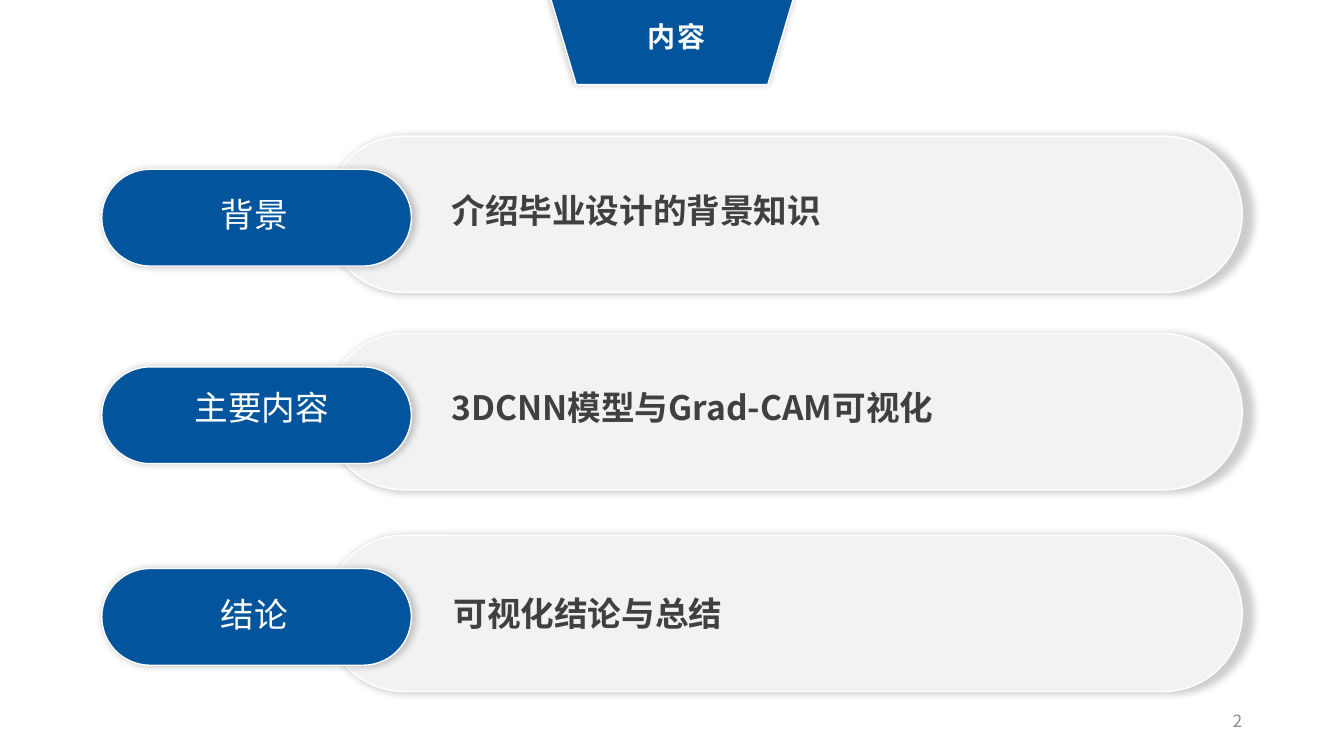
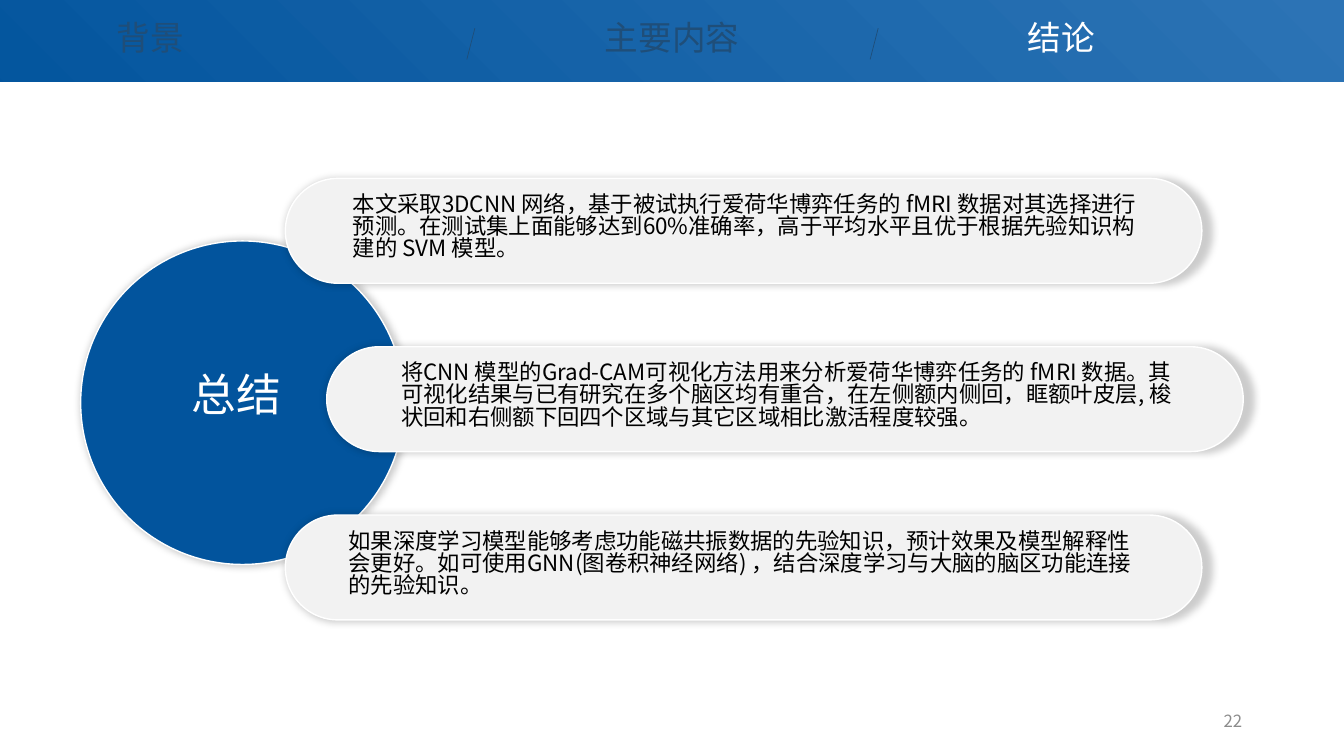
from lxml.etree import SubElement
from pptx import Presentation
from pptx.dml.color import RGBColor
from pptx.enum.shapes import MSO_CONNECTOR, MSO_SHAPE
from pptx.enum.text import MSO_ANCHOR, MSO_AUTO_SIZE, PP_ALIGN
from pptx.oxml import parse_xml
from pptx.oxml.ns import nsdecls, qn
from pptx.util import Inches, Pt

FONT = "Noto Sans CJK SC"
BLUE, LIGHT_BLUE, NAVY = "02549D", "2E75B6", "1F4E79"
WHITE, PALE, DARK, GREY, BLACK = "FFFFFF", "F2F2F2", "404040", "8C8C8C", "000000"
TAB = {"size": 24, "color": WHITE}
SHADOW = (
    f'<a:effectLst {nsdecls("a")}><a:outerShdw blurRad="63500" sx="101000" sy="101000" '
    'algn="l" rotWithShape="0"><a:srgbClr val="000000"><a:alpha val="20000"/></a:srgbClr>'
    "</a:outerShdw></a:effectLst>"
)

AGENDA = [
    (1.35, "背景", 2.09, 0.56, "介绍毕业设计的背景知识", 4.38, 0.52),
    (3.31, "主要内容", 1.83, 0.52, "3DCNN模型与Grad-CAM可视化", 4.38, 0.52),
    (5.31, "结论", 2.09, 0.57, "可视化结论与总结", 4.4, 0.56),
]
SUMMARY = [
    (2.83, 3.4, "本文采取3DCNN 网络，基于被试执行爱荷华博弈任务的 fMRI 数据对其选择进行预测。"
     "在测试集上面能够达到60%准确率，高于平均水平且优于根据先验知识构建的 SVM 模型。"),
    (3.24, 3.88, "将CNN 模型的Grad-CAM可视化方法用来分析爱荷华博弈任务的 fMRI 数据。"
     "其可视化结果与已有研究在多个脑区均有重合，在左侧额内侧回，眶额叶皮层, "
     "梭状回和右侧额下回四个区域与其它区域相比激活程度较强。"),
    (2.83, 3.36, "如果深度学习模型能够考虑功能磁共振数据的先验知识，预计效果及模型解释性会更好。"
     "如可使用GNN(图卷积神经网络) ，结合深度学习与大脑的脑区功能连接的先验知识。"),
]


def rgb(value):
    return RGBColor.from_string(value)


def box(*lengths):
    return [Inches(v) for v in lengths]


def write(sp, text, size, color, bold=False, align=PP_ALIGN.LEFT, wrap=True,
          anchor=MSO_ANCHOR.TOP, spacing=0.83, tracking=0):
    tf = sp.text_frame
    frame = {"word_wrap": wrap, "auto_size": MSO_AUTO_SIZE.NONE, "vertical_anchor": anchor}
    for name, value in frame.items():
        setattr(tf, name, value)
    p = tf.paragraphs[0]
    for name, value in {"alignment": align, "line_spacing": spacing}.items():
        setattr(p, name, value)
    r = p.add_run()
    r.text = text
    for name, value in {"name": FONT, "size": Pt(size), "bold": bold}.items():
        setattr(r.font, name, value)
    r.font.color.rgb = rgb(color)
    props = r.font._element
    SubElement(props, qn("a:ea"), typeface=FONT)
    if tracking:
        props.set("spc", str(tracking * 100))


def add_text(s, at, text, **style):
    write(s.shapes.add_textbox(*box(*at)), text, **style)


def set_title(s, at, text, **style):
    sp = s.shapes.title
    for name, value in zip(("left", "top", "width", "height"), box(*at)):
        setattr(sp, name, value)
    s.shapes.element.append(sp.element)
    write(sp, text, **style)


def add_panel(s, kind, at, fill, adjust=None, shadow=True):
    sp = s.shapes.add_shape(kind, *box(*at))
    sp.shadow.inherit = False
    sp.fill.solid()
    sp.fill.fore_color.rgb = rgb(fill)
    sp.line.color.rgb = rgb(WHITE)
    sp.line.width = Pt(1)
    if adjust is not None:
        sp.adjustments[0] = adjust
    if shadow:
        props = sp.element.spPr
        props.replace(props.find(qn("a:effectLst")), parse_xml(SHADOW))
    return sp


def add_pill(s, at, fill):
    return add_panel(s, MSO_SHAPE.ROUNDED_RECTANGLE, at, fill, 0.5)


def add_divider(s, x):
    line = s.shapes.add_connector(MSO_CONNECTOR.STRAIGHT, *box(x, 0.28, x - 0.08, 0.59))
    line.line.color.rgb = rgb(NAVY)
    line.line.width = Pt(0.5)
    SubElement(line._element.spPr, qn("a:effectLst"))


def add_page_number(s, number):
    add_text(s, (9.42, 6.95, 3, 0.4), number, size=12, color=GREY, align=PP_ALIGN.RIGHT,
             anchor=MSO_ANCHOR.MIDDLE, spacing=1)


def add_nav_band(s):
    band = add_panel(s, MSO_SHAPE.RECTANGLE, (-0.66, -0.03, 14.65, 0.85), BLUE, shadow=False)
    band.fill.gradient()
    band.fill.gradient_angle = 225
    for stop, color in zip(band.fill.gradient_stops, (LIGHT_BLUE, BLUE)):
        stop.color.rgb = rgb(color)
    for x in (4.71, 8.71):
        add_divider(s, x)
    for x, label in ((1.06, "背景"), (5.9, "主要内容")):
        add_text(s, (x, 0.19, 2.19, 0.5), label, size=24, color=NAVY)
    set_title(s, (10.09, 0.19, 2.19, 0.5), "结论", **TAB)


def build_agenda(s):
    banner = add_panel(s, MSO_SHAPE.TRAPEZOID, (5.46, -0.02, 2.41, 0.86), BLUE, 0.297)
    banner.rotation = 180
    set_title(s, (6.3, 0.2, 0.82, 0.44), "内容", size=20, color=WHITE, bold=True,
              align=PP_ALIGN.CENTER, wrap=False, tracking=2)
    for top, label, label_x, label_dy, text, text_x, text_dy in AGENDA:
        add_pill(s, (3.23, top, 9.09, 1.55), PALE)
        add_pill(s, (1.01, top + 0.33, 3.07, 0.96), BLUE)
        add_text(s, (text_x, top + text_dy + 0.03, 7.4, 0.5), text, size=24, color=DARK, bold=True)
        add_text(s, (label_x, top + label_dy + 0.03, 1.69, 0.5), label, **TAB)
    add_page_number(s, "2")


def build_summary(s):
    add_nav_band(s)
    add_panel(s, MSO_SHAPE.OVAL, (0.8, 2.39, 3.21, 3.21), BLUE)
    add_text(s, (1.8, 3.68, 1.21, 0.64), "总结", size=32, color=WHITE)
    for i, (pill_x, text_x, text) in enumerate(SUMMARY):
        top = 1.77 + i * 1.67
        add_pill(s, (pill_x, top, 9.09, 1.04), PALE)
        add_text(s, (text_x, top + 0.11, 8.03, 0.91), text, size=16, color=BLACK)
    add_page_number(s, "22")


def main():
    prs = Presentation()
    prs.slide_width, prs.slide_height = box(13.33, 7.5)
    for build in (build_agenda, build_summary):
        build(prs.slides.add_slide(prs.slide_layouts[5]))
    prs.save("out.pptx")


if __name__ == "__main__":
    main()
